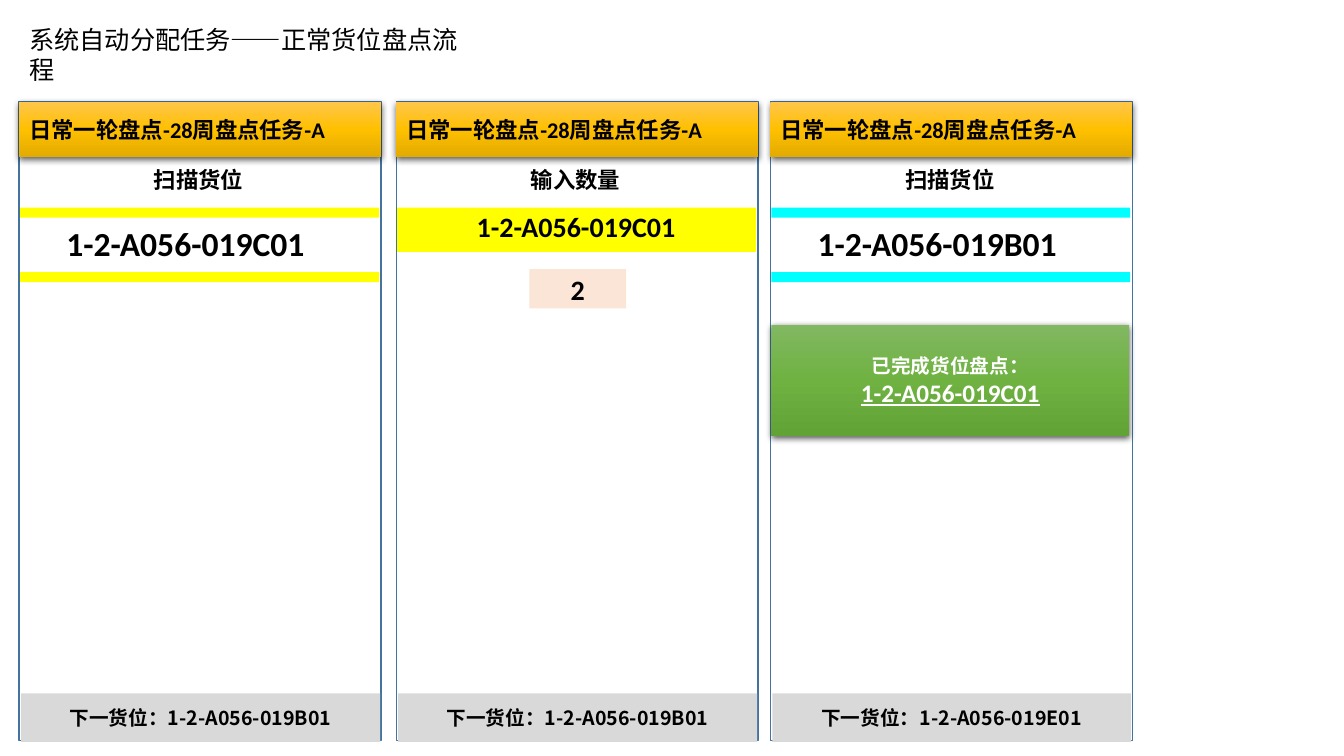
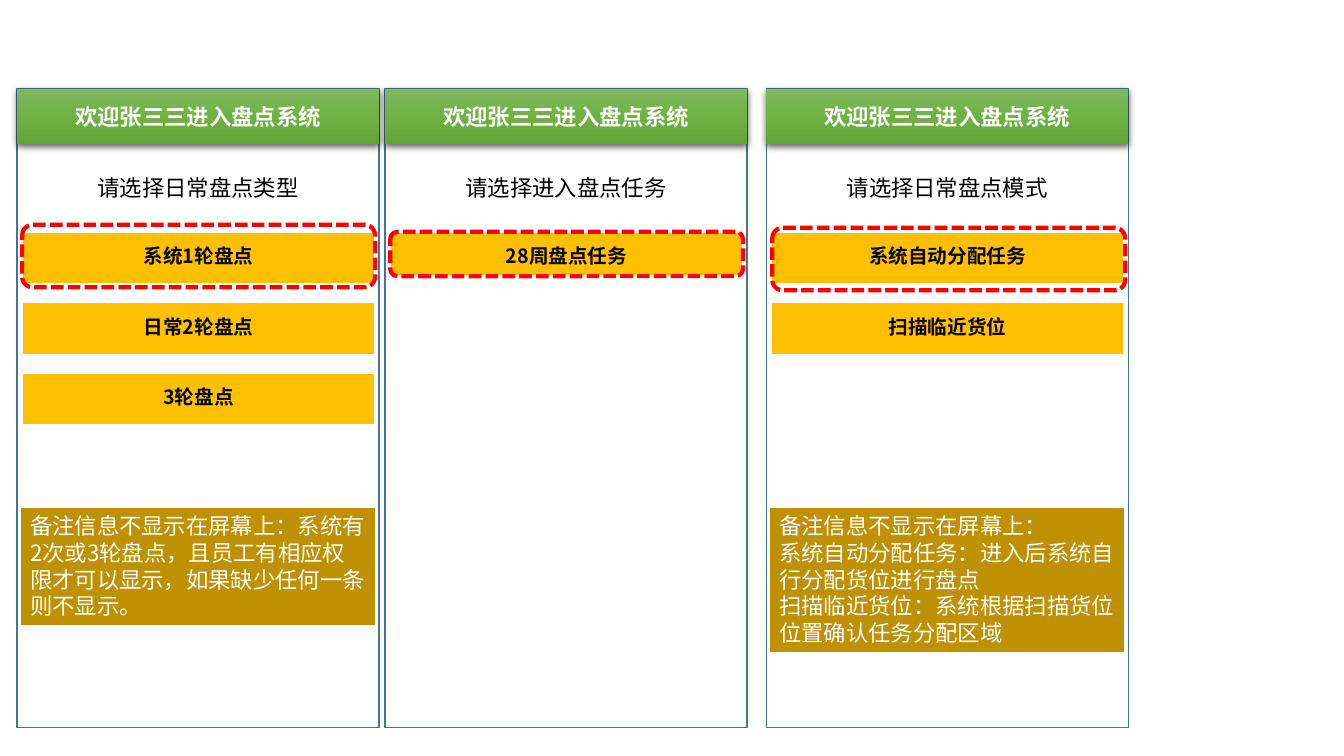
from dataclasses import dataclass, replace

import lxml.etree
import pptx
import pptx.dml.color
import pptx.enum.dml
import pptx.enum.shapes
import pptx.enum.text
import pptx.oxml.ns
import pptx.util

Inches = pptx.util.Inches
Align = pptx.enum.text.PP_ALIGN
Anchor = pptx.enum.text.MSO_ANCHOR
Preset = pptx.enum.shapes.MSO_SHAPE
qn = pptx.oxml.ns.qn


@dataclass(frozen=True)
class TextStyle:
    size: float
    bold: bool = True
    font: str = "Noto Sans CJK SC"
    color: str = "000000"
    align: Align = Align.CENTER
    underline: bool = False


@dataclass(frozen=True)
class Theme:
    east_asian_font: str = "Noto Sans CJK SC"
    panel: str = "FFFFFF"
    panel_border: str = "43739E"
    gold: tuple[str, ...] = ("FFC64B", "FFC000", "E3AB00")
    green: tuple[str, ...] = ("81B861", "6FB242", "62A336")
    shadow: str = "000000"
    yellow: str = "FFFF00"
    cyan: str = "00FFFF"
    footer: str = "D9D9D9"
    quantity: str = "FBE5D6"
    option: str = "FFC000"
    note: str = "BF9000"
    highlight: str = "FF0000"
    title: TextStyle = TextStyle(18, False, "Calibri", align=Align.LEFT)
    task_header: TextStyle = TextStyle(16, font="Calibri", align=Align.LEFT)
    welcome_header: TextStyle = TextStyle(16, color="FFFFFF")
    step: TextStyle = TextStyle(16)
    prompt: TextStyle = TextStyle(16, False)
    label: TextStyle = TextStyle(14)
    note_text: TextStyle = TextStyle(16, False, color="FFFFFF", align=Align.LEFT)
    large_code: TextStyle = TextStyle(24, font="Calibri", align=Align.LEFT)
    small_code: TextStyle = TextStyle(20, font="Calibri", align=Align.LEFT)
    done_label: TextStyle = TextStyle(14, color="FFFFFF")
    done_code: TextStyle = TextStyle(18, font="Calibri", color="FFFFFF", underline=True)


THEME = Theme()
PANEL_WIDTH = 3.59
PANEL_HEIGHT = 6.34
HEADER_HEIGHT = 0.55


@dataclass(frozen=True)
class Box:
    left: float
    top: float
    width: float
    height: float

    def lengths(self) -> tuple[int, ...]:
        return tuple(Inches(n) for n in (self.left, self.top, self.width, self.height))


@dataclass(frozen=True)
class Line:
    text: str
    style: TextStyle


@dataclass(frozen=True)
class Border:
    color: str
    width: float
    dashed: bool = False


@dataclass(frozen=True)
class ScanScreen:
    left: float
    step: str
    location: str
    next_location: str
    accent: str
    quantity: str = ""
    completed: str = ""


@dataclass(frozen=True)
class MenuScreen:
    left: float
    prompt: str
    options: tuple[str, ...]
    highlight: Box
    option_height: float = 0.52
    note: tuple[str, ...] = ()
    note_height: float = 0


def rgb(color: str) -> pptx.dml.color.RGBColor:
    return pptx.dml.color.RGBColor.from_string(color)


def write_lines(frame, lines: tuple[Line, ...], anchor: Anchor, wrap: bool = True) -> None:
    frame.auto_size = pptx.enum.text.MSO_AUTO_SIZE.NONE
    frame.word_wrap = wrap
    frame.vertical_anchor = anchor
    for index, line in enumerate(lines):
        paragraph = frame.add_paragraph() if index else frame.paragraphs[0]
        paragraph.text = line.text
        paragraph.alignment = line.style.align
        font = paragraph.font
        font.size = pptx.util.Pt(line.style.size)
        font.name = line.style.font
        font.bold = line.style.bold
        font.underline = line.style.underline
        font.color.rgb = rgb(line.style.color)
        properties = paragraph._p.get_or_add_pPr().find(qn("a:defRPr"))
        east_asian = lxml.etree.SubElement(properties, qn("a:ea"))
        east_asian.set("typeface", THEME.east_asian_font)


def add_block(slide, box: Box, fill: str | None, lines: tuple[Line, ...] = (),
              border: Border | None = None, preset: Preset = Preset.RECTANGLE,
              anchor: Anchor = Anchor.MIDDLE):
    shape = slide.shapes.add_shape(preset, *box.lengths())
    shape.shadow.inherit = False
    if fill:
        shape.fill.solid()
        shape.fill.fore_color.rgb = rgb(fill)
    else:
        shape.fill.background()
    if border:
        shape.line.color.rgb = rgb(border.color)
        shape.line.width = pptx.util.Pt(border.width)
        if border.dashed:
            shape.line.dash_style = pptx.enum.dml.MSO_LINE.SQUARE_DOT
    else:
        shape.line.fill.background()
    write_lines(shape.text_frame, lines, anchor)
    return shape


def add_color(parent, color: str):
    element = lxml.etree.SubElement(parent, qn("a:srgbClr"))
    element.set("val", color)
    return element


def add_raised_block(slide, box: Box, colors: tuple[str, ...], lines: tuple[Line, ...]) -> None:
    shape = add_block(slide, box, colors[0], lines)
    shape.fill.gradient()
    shape.fill.gradient_angle = 270
    properties = shape._element.spPr
    stops = properties.find(qn("a:gradFill")).find(qn("a:gsLst"))
    for stop in list(stops):
        stops.remove(stop)
    for index, color in enumerate(colors):
        stop = lxml.etree.SubElement(stops, qn("a:gs"))
        stop.set("pos", str(index * 50000))
        add_color(stop, color)
    shadow = lxml.etree.SubElement(properties.find(qn("a:effectLst")), qn("a:outerShdw"))
    for name, value in (("blurRad", pptx.util.Pt(4.5)), ("dist", pptx.util.Pt(1.5)),
                        ("dir", 5400000), ("rotWithShape", 0)):
        shadow.set(name, str(value))
    alpha = lxml.etree.SubElement(add_color(shadow, THEME.shadow), qn("a:alpha"))
    alpha.set("val", "63000")


def add_label(slide, box: Box, line: Line, wrap: bool = True) -> None:
    text_box = slide.shapes.add_textbox(*box.lengths())
    write_lines(text_box.text_frame, (line,), Anchor.TOP, wrap)


def add_panel(slide, left: float, top: float, colors: tuple[str, ...], header: Line) -> None:
    add_block(slide, Box(left, top, PANEL_WIDTH, PANEL_HEIGHT), THEME.panel,
              border=Border(THEME.panel_border, 1))
    add_raised_block(slide, Box(left, top, PANEL_WIDTH, HEADER_HEIGHT), colors, (header,))


def add_scan_screen(slide, screen: ScanScreen) -> None:
    left = screen.left
    add_panel(slide, left, 1.01, THEME.gold, Line("日常一轮盘点-28周盘点任务-A", THEME.task_header))
    add_label(slide, Box(left, 1.6, 3.56, 0.37), Line(screen.step, THEME.step))
    add_block(slide, Box(left + 0.02, 6.88, 3.56, 0.48), THEME.footer,
              (Line("下一货位：" + screen.next_location, THEME.label),))
    if screen.quantity:
        add_block(slide, Box(left + 0.01, 2.06, 3.56, 0.44), screen.accent)
        add_label(slide, Box(left + 0.7, 2.03, 2.2, 0.44),
                  Line(screen.location, THEME.small_code), wrap=False)
        add_block(slide, Box(left + 1.32, 2.67, 0.96, 0.39), THEME.quantity,
                  (Line(screen.quantity, replace(THEME.small_code, align=Align.CENTER)),))
    else:
        for top in (2.06, 2.7):
            add_block(slide, Box(left + 0.01, top, 3.56, 0.1), screen.accent)
        add_label(slide, Box(left + 0.37, 2.16, 2.62, 0.5),
                  Line(screen.location, THEME.large_code), wrap=False)
    if screen.completed:
        add_raised_block(slide, Box(left + 0.01, 3.22, 3.55, 1.11), THEME.green,
                         (Line("已完成货位盘点：", THEME.done_label),
                          Line(screen.completed, THEME.done_code)))


def add_menu_screen(slide, screen: MenuScreen) -> None:
    left = screen.left
    white_border = Border(THEME.panel, 1.5)
    add_panel(slide, left, 0.88, THEME.green, Line("欢迎张三三进入盘点系统", THEME.welcome_header))
    add_label(slide, Box(left, 1.68, PANEL_WIDTH, 0.37), Line(screen.prompt, THEME.prompt))
    for index, option in enumerate(screen.options):
        button = add_block(slide, Box(left + 0.05, 2.3 + index * 0.7, 3.5, screen.option_height),
                           THEME.option, (Line(option, THEME.label),), white_border,
                           anchor=Anchor.TOP)
        button.text_frame.margin_top = Inches(0.12)
    if screen.note:
        add_block(slide, Box(left + 0.03, 5.03, 3.53, screen.note_height), THEME.note,
                  tuple(Line(text, THEME.note_text) for text in screen.note), white_border,
                  anchor=Anchor.TOP)
    add_block(slide, screen.highlight, None, border=Border(THEME.highlight, 3, True),
              preset=Preset.ROUNDED_RECTANGLE)


def add_title(slide, text: str) -> None:
    title = slide.shapes.title
    title.left, title.top, title.width, title.height = Box(0.19, 0.34, 4.7, 0.4).lengths()
    write_lines(title.text_frame, (Line(text, THEME.title),), Anchor.MIDDLE, wrap=False)


SCAN_SCREENS = (
    ScanScreen(0.19, "扫描货位", "1-2-A056-019C01", "1-2-A056-019B01", THEME.yellow),
    ScanScreen(3.93, "输入数量", "1-2-A056-019C01", "1-2-A056-019B01", THEME.yellow,
               quantity="2"),
    ScanScreen(7.64, "扫描货位", "1-2-A056-019B01", "1-2-A056-019E01", THEME.cyan,
               completed="1-2-A056-019C01"),
)
MENU_SCREENS = (
    MenuScreen(0.17, "请选择日常盘点类型", ("系统1轮盘点", "日常2轮盘点", "3轮盘点"),
               Box(0.22, 2.23, 3.5, 0.62), note_height=1.18,
               note=("备注信息不显示在屏幕上：系统有2次或3轮盘点，且员工有相应权限才可以显示，"
                     "如果缺少任何一条则不显示。",)),
    MenuScreen(3.82, "请选择进入盘点任务", ("28周盘点任务",),
               Box(3.87, 2.3, 3.5, 0.44), option_height=0.44),
    MenuScreen(7.6, "请选择日常盘点模式", ("系统自动分配任务", "扫描临近货位"),
               Box(7.66, 2.26, 3.5, 0.62), note_height=1.45,
               note=("备注信息不显示在屏幕上：",
                     "系统自动分配任务：进入后系统自行分配货位进行盘点",
                     "扫描临近货位：系统根据扫描货位位置确认任务分配区域")),
)


def main() -> None:
    presentation = pptx.Presentation()
    presentation.slide_width = Inches(13.33)
    presentation.slide_height = Inches(7.5)
    title_only, blank = presentation.slide_layouts[5], presentation.slide_layouts[6]

    scan_slide = presentation.slides.add_slide(title_only)
    add_title(scan_slide, "系统自动分配任务——正常货位盘点流程")
    for screen in SCAN_SCREENS:
        add_scan_screen(scan_slide, screen)

    menu_slide = presentation.slides.add_slide(blank)
    for screen in MENU_SCREENS:
        add_menu_screen(menu_slide, screen)

    presentation.save("out.pptx")


main()
